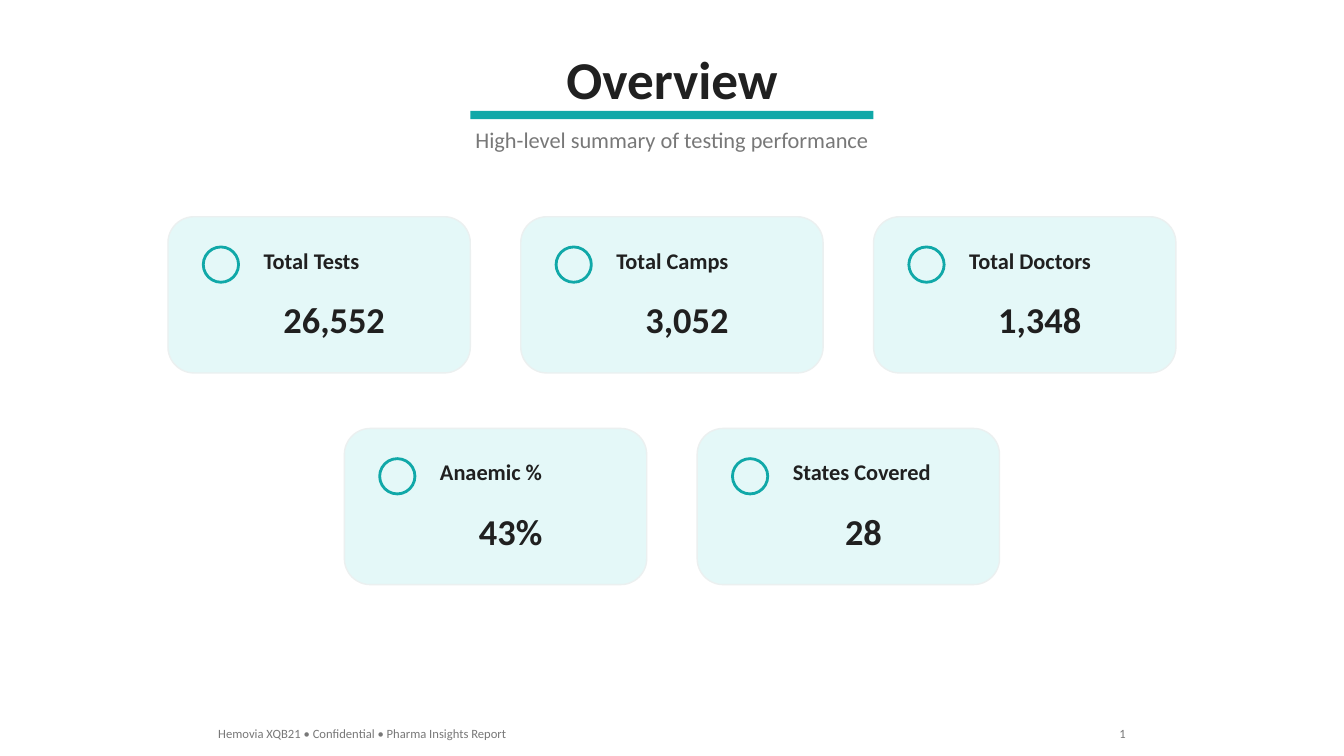
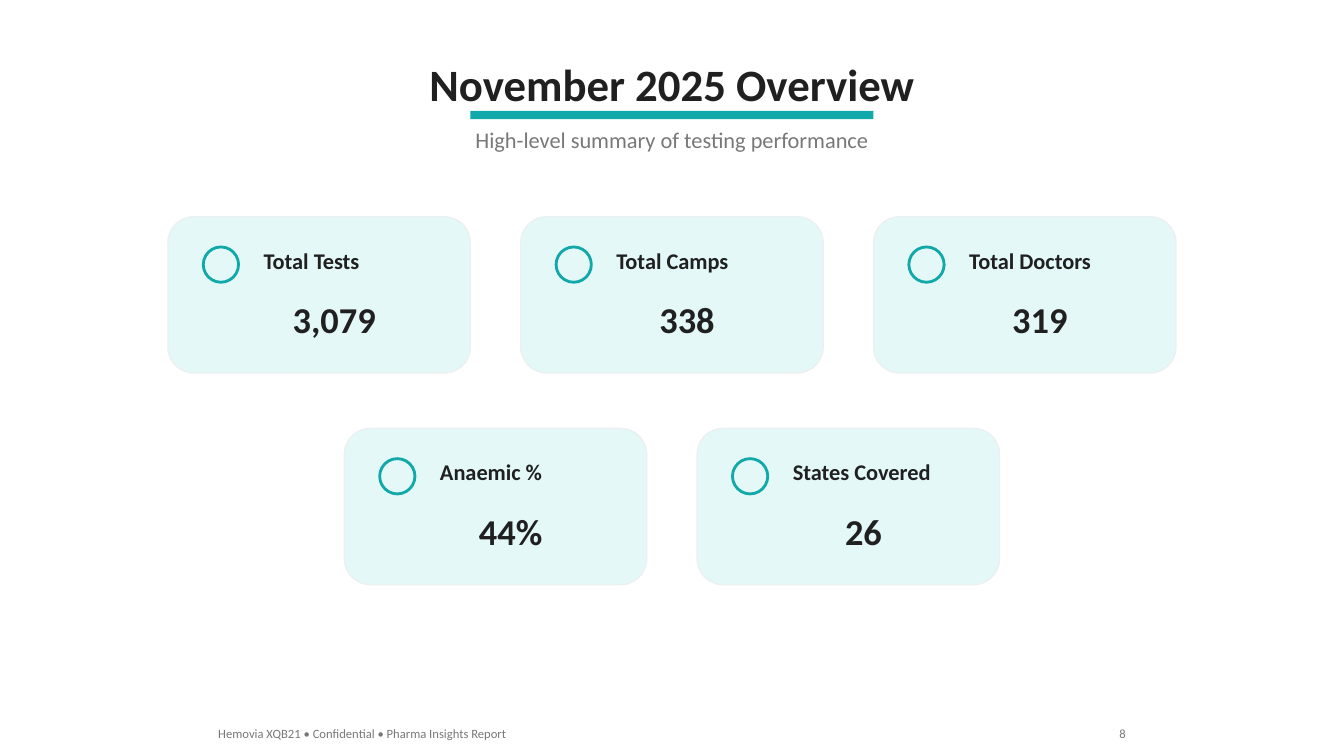
from dataclasses import dataclass

from pptx import Presentation
from pptx.dml.color import RGBColor
from pptx.enum.shapes import MSO_SHAPE
from pptx.enum.text import MSO_ANCHOR, PP_ALIGN
from pptx.presentation import Presentation as Deck
from pptx.shapes.autoshape import Shape
from pptx.slide import Slide
from pptx.util import Emu, Pt

PX = 7620
PAGE_WIDTH, PAGE_HEIGHT = 1600, 900
CARD_WIDTH, CARD_HEIGHT, CARD_GAP = 360, 186, 60
CARDS_TOP, ROW_STEP, CARDS_PER_ROW = 258, 252, 3


@dataclass(frozen=True)
class Theme:
    font: str = "Calibri"
    ink: str = "202020"
    muted: str = "787878"
    accent: str = "10A8A8"
    card: str = "E4F8F8"
    card_edge: str = "EBF0F0"
    value_size: int = 26
    body_size: int = 16
    footer_size: int = 9


@dataclass(frozen=True)
class Area:
    left: int
    top: int
    width: int
    height: int

    def to_emu(self) -> tuple[Emu, ...]:
        return tuple(Emu(n * PX) for n in (self.left, self.top, self.width, self.height))


@dataclass(frozen=True)
class Metric:
    label: str
    value: str


@dataclass(frozen=True)
class Overview:
    title: str
    title_size: int
    number: int
    values: tuple[str, ...]


THEME = Theme()
SUBTITLE = "High-level summary of testing performance"
FOOTER = "Hemovia XQB21 • Confidential • Pharma Insights Report"
LABELS = ("Total Tests", "Total Camps", "Total Doctors", "Anaemic %", "States Covered")
OVERVIEWS = (
    Overview("Overview", 38, 1, ("26,552", "3,052", "1,348", "43%", "28")),
    Overview("November 2025 Overview", 32, 8, ("3,079", "338", "319", "44%", "26")),
)


def add_text(page: Slide, area: Area, text: str, *, size: int, color: str = THEME.ink,
             bold: bool = False, align: PP_ALIGN = PP_ALIGN.LEFT,
             anchor: MSO_ANCHOR = MSO_ANCHOR.TOP) -> Shape:
    box = page.shapes.add_textbox(*area.to_emu())
    frame = box.text_frame
    frame.word_wrap = True
    frame.vertical_anchor = anchor
    para = frame.paragraphs[0]
    para.alignment = align
    span = para.add_run()
    span.text = text
    span.font.name = THEME.font
    span.font.size = Pt(size)
    span.font.bold = bold
    span.font.color.rgb = RGBColor.from_string(color)
    return box


def add_figure(page: Slide, kind: MSO_SHAPE, area: Area, *, fill: str | None = None,
               line: str | None = None, weight: int = 1) -> Shape:
    figure = page.shapes.add_shape(kind, *area.to_emu())
    figure.shadow.inherit = False
    if fill:
        figure.fill.solid()
        figure.fill.fore_color.rgb = RGBColor.from_string(fill)
    else:
        figure.fill.background()
    if line:
        figure.line.color.rgb = RGBColor.from_string(line)
        figure.line.width = Pt(weight)
    else:
        figure.line.fill.background()
    return figure


def add_header(page: Slide, overview: Overview) -> None:
    add_text(page, Area(480, 48, 640, 89), overview.title, size=overview.title_size,
             bold=True, align=PP_ALIGN.CENTER, anchor=MSO_ANCHOR.BOTTOM)
    add_figure(page, MSO_SHAPE.RECTANGLE, Area(560, 132, 480, 10), fill=THEME.accent)
    add_text(page, Area(540, 144, 520, 44), SUBTITLE, size=THEME.body_size,
             color=THEME.muted, align=PP_ALIGN.CENTER)


def add_card(page: Slide, left: int, top: int, metric: Metric) -> None:
    add_figure(page, MSO_SHAPE.ROUNDED_RECTANGLE, Area(left, top, CARD_WIDTH, CARD_HEIGHT),
               fill=THEME.card, line=THEME.card_edge)
    add_figure(page, MSO_SHAPE.OVAL, Area(left + 42, top + 36, 42, 42),
               line=THEME.accent, weight=2)
    add_text(page, Area(left + 102, top + 30, 220, 44), metric.label,
             size=THEME.body_size, bold=True)
    add_text(page, Area(left + 108, top + 90, 180, 65), metric.value,
             size=THEME.value_size, bold=True, align=PP_ALIGN.CENTER)


def add_cards(page: Slide, metrics: list[Metric]) -> None:
    for row, start in enumerate(range(0, len(metrics), CARDS_PER_ROW)):
        members = metrics[start:start + CARDS_PER_ROW]
        row_width = len(members) * (CARD_WIDTH + CARD_GAP) - CARD_GAP
        row_left = (PAGE_WIDTH - row_width) // 2
        for column, metric in enumerate(members):
            add_card(page, row_left + column * (CARD_WIDTH + CARD_GAP),
                     CARDS_TOP + row * ROW_STEP, metric)


def add_footer(page: Slide, number: int) -> None:
    add_text(page, Area(248, 858, 400, 30), FOOTER, size=THEME.footer_size, color=THEME.muted)
    add_text(page, Area(1292, 858, 60, 30), str(number), size=THEME.footer_size,
             color=THEME.muted, align=PP_ALIGN.RIGHT)


def add_overview(deck: Deck, overview: Overview) -> None:
    page = deck.slides.add_slide(deck.slide_layouts[6])
    add_header(page, overview)
    add_cards(page, [Metric(*pair) for pair in zip(LABELS, overview.values)])
    add_footer(page, overview.number)


def main() -> None:
    deck = Presentation()
    deck.slide_width = Emu(PAGE_WIDTH * PX)
    deck.slide_height = Emu(PAGE_HEIGHT * PX)
    for overview in OVERVIEWS:
        add_overview(deck, overview)
    deck.save("out.pptx")


if __name__ == "__main__":
    main()
